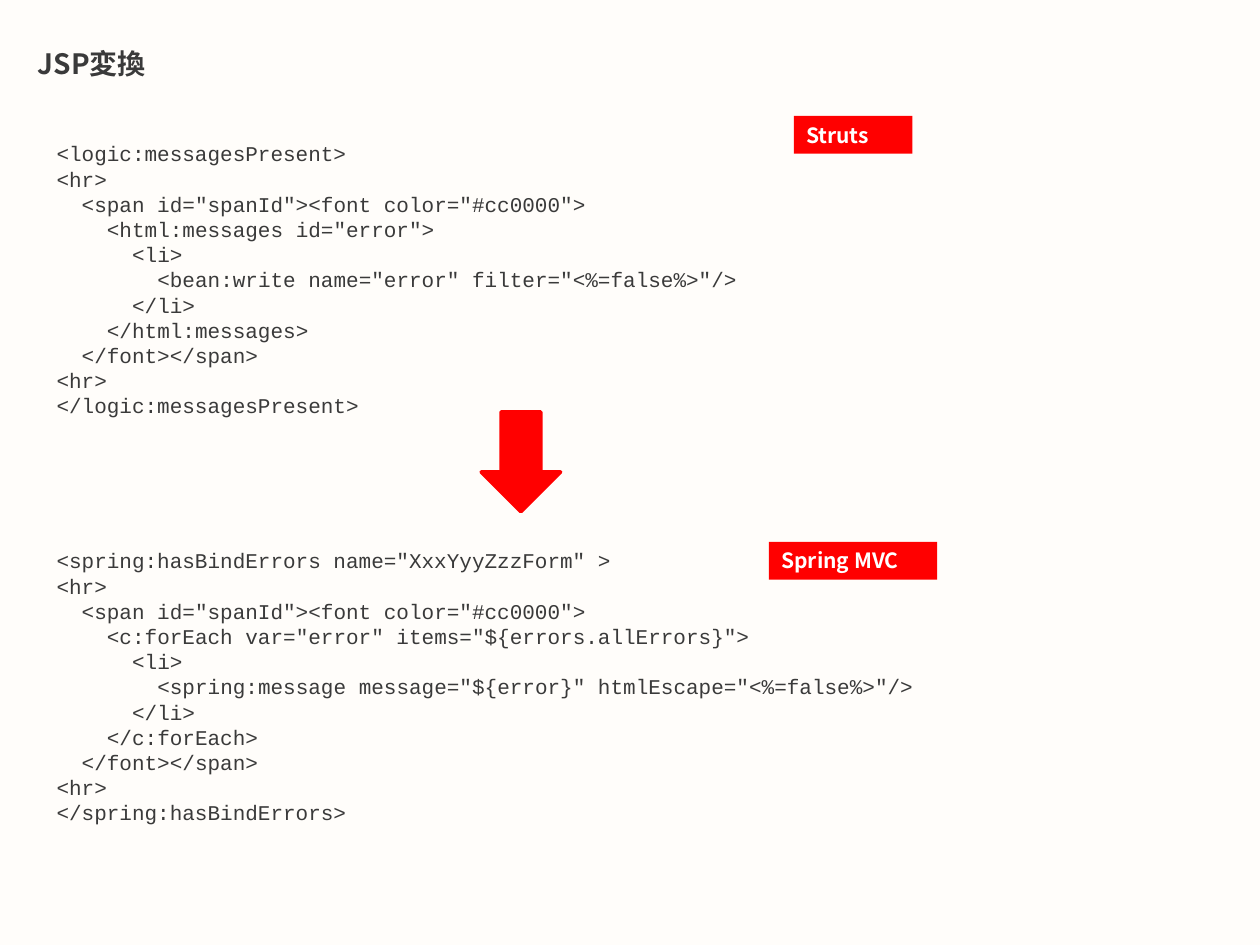
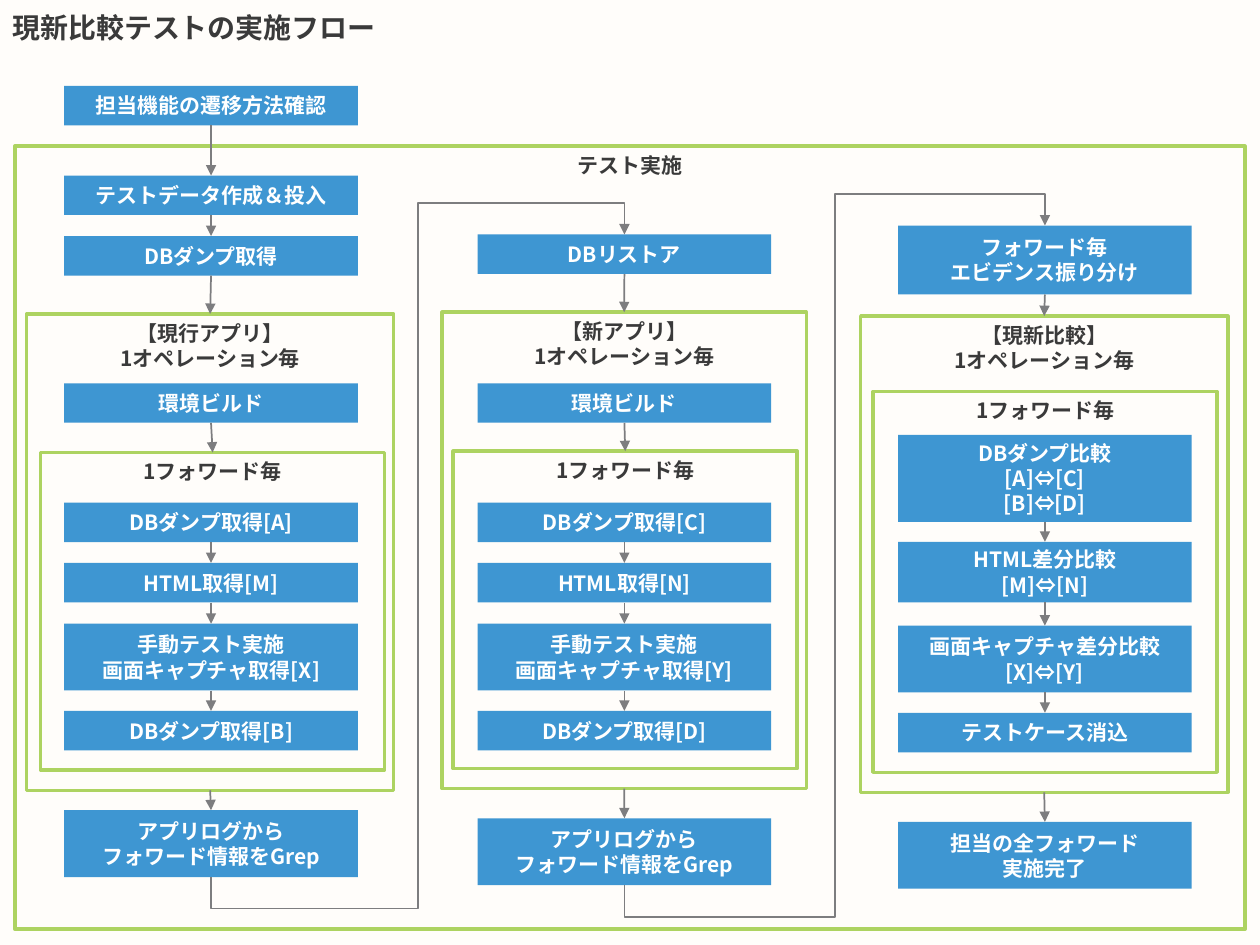
from dataclasses import dataclass
from itertools import pairwise
from typing import Any

from lxml.etree import SubElement
from pptx import Presentation
from pptx.dml.color import RGBColor as Rgb
from pptx.enum.shapes import MSO_CONNECTOR as Link, MSO_SHAPE as Shape
from pptx.enum.text import MSO_ANCHOR as Anchor, MSO_AUTO_SIZE as Fit, PP_ALIGN as Align
from pptx.oxml.ns import qn
from pptx.util import Pt


@dataclass(frozen=True)
class Theme:
    """Colours, fonts and sizes shared by the slides."""

    paper: str = "FFFDFA"
    ink: str = "3A3A3A"
    white: str = "FFFFFF"
    red: str = "FF0000"
    blue: str = "3E96D2"
    green: str = "ADD361"
    grey: str = "7D7D7F"
    sans: str = "Noto Sans CJK JP"
    mono: str = "Courier New"
    title_size: float = 16
    text_size: float = 12
    leading: float = 1.2
    indent: float = 7.2
    outline: float = 2
    thin: float = 1
    detour: float = 18


@dataclass
class Column:
    """One column of the flow, with tops and lines of its steps."""

    left: float
    entry: list
    operation: tuple
    heading: str
    build: list
    forward: tuple
    steps: list
    closing: tuple


def assign(target, values):
    """Set attributes from a dict of format values."""
    for name, value in values.items():
        setattr(target, name, value)


@dataclass
class Deck:
    """Style and current slide, with a method for each kind of element."""

    prs: Any
    theme: Theme
    slide: Any = None

    def setup(self):
        """Set the slide size and the common background."""
        assign(self.prs, {"slide_width": Pt(720), "slide_height": Pt(540)})
        fill = self.prs.slide_master.background.fill
        fill.solid()
        fill.fore_color.rgb = Rgb.from_string(self.theme.paper)

    def start(self, title, left, top):
        """Add a slide with its title."""
        self.slide = self.prs.slides.add_slide(self.prs.slide_layouts[5])
        heading = self.slide.shapes.title
        assign(heading, {"left": Pt(left), "top": Pt(top), "width": Pt(360), "height": Pt(31)})
        self.typeset(heading, [title], size=self.theme.title_size,
                     anchor=Anchor.MIDDLE, align=Align.LEFT)

    def typeset(self, holder, lines, color=None, size=None, face=None, bold=True,
                anchor=Anchor.TOP, align=Align.CENTER, fit=Fit.NONE):
        """Fill a shape with paragraphs, turning leading spaces into indents."""
        theme = self.theme
        size, face = size or theme.text_size, face or theme.sans
        frame = holder.text_frame
        assign(frame, {"word_wrap": True, "auto_size": fit, "vertical_anchor": anchor})
        for index, line in enumerate(lines):
            paragraph = frame.add_paragraph() if index else frame.paragraphs[0]
            assign(paragraph, {"alignment": align, "line_spacing": Pt(size * theme.leading)})
            words = line.lstrip()
            depth = len(line) - len(words)
            if depth:
                margins = paragraph._p.get_or_add_pPr()
                margins.set("marL", str(Pt(depth * theme.indent)))
                margins.set("indent", "0")
            run = paragraph.add_run()
            run.text = words
            assign(run.font, {"size": Pt(size), "bold": bold, "name": face})
            run.font.color.rgb = Rgb.from_string(color or theme.ink)
            SubElement(run._r.get_or_add_rPr(), qn("a:ea"), typeface=face)

    def shape(self, kind, area, fill=None, line=None):
        """Add a preset shape with a plain fill and outline."""
        item = self.slide.shapes.add_shape(kind, *map(Pt, area))
        item.shadow.inherit = False
        for paint, color in ((item.fill, fill), (item.line.fill, line)):
            if color:
                paint.solid()
                paint.fore_color.rgb = Rgb.from_string(color)
            else:
                paint.background()
        if line:
            item.line.width = Pt(self.theme.outline)
        return item

    def code(self, listing, area):
        """Add a listing in the fixed-width font."""
        self.typeset(self.slide.shapes.add_textbox(*map(Pt, area)), listing.strip().splitlines(),
                     face=self.theme.mono, bold=False, align=Align.LEFT)

    def label(self, name, area):
        """Add a red name tag."""
        tag = self.shape(Shape.RECTANGLE, area, self.theme.red)
        self.typeset(tag, [name], self.theme.white, align=Align.LEFT, fit=Fit.SHAPE_TO_FIT_TEXT)

    def arrow(self, area):
        """Add a red block arrow that points down."""
        self.shape(Shape.DOWN_ARROW, area, self.theme.red, self.theme.red)

    def step(self, left, top, text, height=None):
        """Add a blue step, as high as its lines need."""
        lines = text.split("\n")
        height = height or {1: 22.6, 2: 38.2, 3: 49.7}[len(lines)]
        box = self.shape(Shape.RECTANGLE, (left, top, 167.8, height), self.theme.blue)
        self.typeset(box, lines, self.theme.white, anchor=Anchor.MIDDLE)
        return box

    def group(self, area, text):
        """Add a green frame with a heading."""
        frame = self.shape(Shape.RECTANGLE, area, line=self.theme.green)
        self.typeset(frame, text.split("\n"))
        return frame

    def connect(self, source, target, kind=Link.STRAIGHT):
        """Join the bottom of one shape to the top of another."""
        link = self.slide.shapes.add_connector(kind, 0, 0, 0, 0)
        link.begin_connect(source, 2)
        link.end_connect(target, 0)
        link.line.color.rgb = Rgb.from_string(self.theme.grey)
        link.line.width = Pt(self.theme.thin)
        SubElement(link.line._get_or_add_ln(), qn("a:tailEnd"), type="triangle")
        SubElement(link._element.spPr, qn("a:effectLst"))
        return link

    def chain(self, boxes):
        """Connect neighbours in order."""
        for source, target in pairwise(boxes):
            self.connect(source, target)

    def detour(self, source, target):
        """Lead from the foot of one column up to the head of the next."""
        link = self.connect(source, target, Link.ELBOW)
        across, rise = link.width, link.height
        middle_x, middle_y = link.left + across // 2, link.top + rise // 2
        assign(link, {"left": middle_x - rise // 2, "top": middle_y - across // 2,
                      "width": rise, "height": across})
        for name, value in {"rot": "5400000", "flipH": "1", "flipV": "1"}.items():
            link._element.spPr.xfrm.set(name, value)
        geometry = link._element.spPr.find(qn("a:prstGeom"))
        geometry.set("prst", "bentConnector5")
        guides = geometry.find(qn("a:avLst"))
        overshoot = round(100000 * Pt(self.theme.detour) / rise)
        for index, value in enumerate((-overshoot, 50000, 100000 + overshoot), 1):
            SubElement(guides, qn("a:gd"), name=f"adj{index}", fmla=f"val {value}")

    def column(self, plan):
        """Draw one column and return its first and last step."""
        def place(steps):
            return [self.step(plan.left, *step) for step in steps]

        entry, build, steps = map(place, (plan.entry, plan.build, plan.steps))
        closing = self.step(plan.left, *plan.closing)
        operation = self.group(plan.operation, f"【{plan.heading}】\n1オペレーション毎")
        forward = self.group(plan.forward, "1フォワード毎")
        for boxes in ([*entry, operation], steps, [operation, closing]):
            self.chain(boxes)
        if build:
            self.chain([*build, forward])
        return entry[0], closing


STRUTS = """
<logic:messagesPresent>
<hr>
  <span id="spanId"><font color="#cc0000">
    <html:messages id="error">
      <li>
        <bean:write name="error" filter="<%=false%>"/>
      </li>
    </html:messages>
  </font></span>
<hr>
</logic:messagesPresent>
"""
SPRING = """
<spring:hasBindErrors name="XxxYyyZzzForm" >
<hr>
  <span id="spanId"><font color="#cc0000">
    <c:forEach var="error" items="${errors.allErrors}">
      <li>
        <spring:message message="${error}" htmlEscape="<%=false%>"/>
      </li>
    </c:forEach>
  </font></span>
<hr>
</spring:hasBindErrors>
"""
BUILD = [(219, "環境ビルド")]
GREP = "アプリログから\nフォワード情報をGrep"


def capture_steps(before, html, screen, after):
    """List the steps that the current and the new application share."""
    return [(287.2, f"DBダンプ取得[{before}]"), (321.7, f"HTML取得[{html}]"),
            (356.4, f"手動テスト実施\n画面キャプチャ取得[{screen}]"),
            (406.2, f"DBダンプ取得[{after}]")]


COLUMNS = [
    Column(36.7, [(49, "担当機能の遷移方法確認"), (100.3, "テストデータ作成＆投入"),
                  (134.9, "DBダンプ取得")],
           (15.2, 179.4, 209.8, 272.2), "現行アプリ", BUILD, (23.2, 258.6, 196.6, 181.4),
           capture_steps("A", "M", "X", "B"), (463, GREP)),
    Column(272.9, [(134, "DBリストア")],
           (252.6, 178.4, 208.2, 272.2), "新アプリ", BUILD, (259, 257.8, 196.6, 181.4),
           capture_steps("C", "N", "Y", "D"), (467.6, GREP)),
    Column(513.2, [(128.9, "フォワード毎\nエビデンス振り分け", 39.4)],
           (491.8, 180.6, 209.8, 272.2), "現新比較", [], (499, 223.8, 196.6, 217.6),
           [(248.5, "DBダンプ比較\n[A]⇔[C]\n[B]⇔[D]"), (309.6, "HTML差分比較\n[M]⇔[N]", 34.6),
            (357.5, "画面キャプチャ差分比較\n[X]⇔[Y]"), (407.3, "テストケース消込")],
           (469.7, "担当の全フォワード\n実施完了")),
]

deck = Deck(Presentation(), Theme())
deck.setup()

deck.start("JSP変換", 14.4, 20.9)
deck.code(STRUTS, (25.2, 77, 555.8, 141.8))
deck.code(SPRING, (25.2, 309.6, 563, 141.8))
deck.label("Struts", (453.6, 66.3, 67.8, 21.6))
deck.label("Spring MVC", (439.4, 309.6, 96.2, 21.6))
deck.arrow((275, 235.4, 45.4, 57))

deck.start("現新比較テストの実施フロー", 0, 0)
deck.group((8.5, 83.5, 702.9, 447.5), "テスト実施")
ends = [deck.column(plan) for plan in COLUMNS]
for (_, closing), (opening, _) in pairwise(ends):
    deck.detour(closing, opening)

deck.prs.save("out.pptx")
